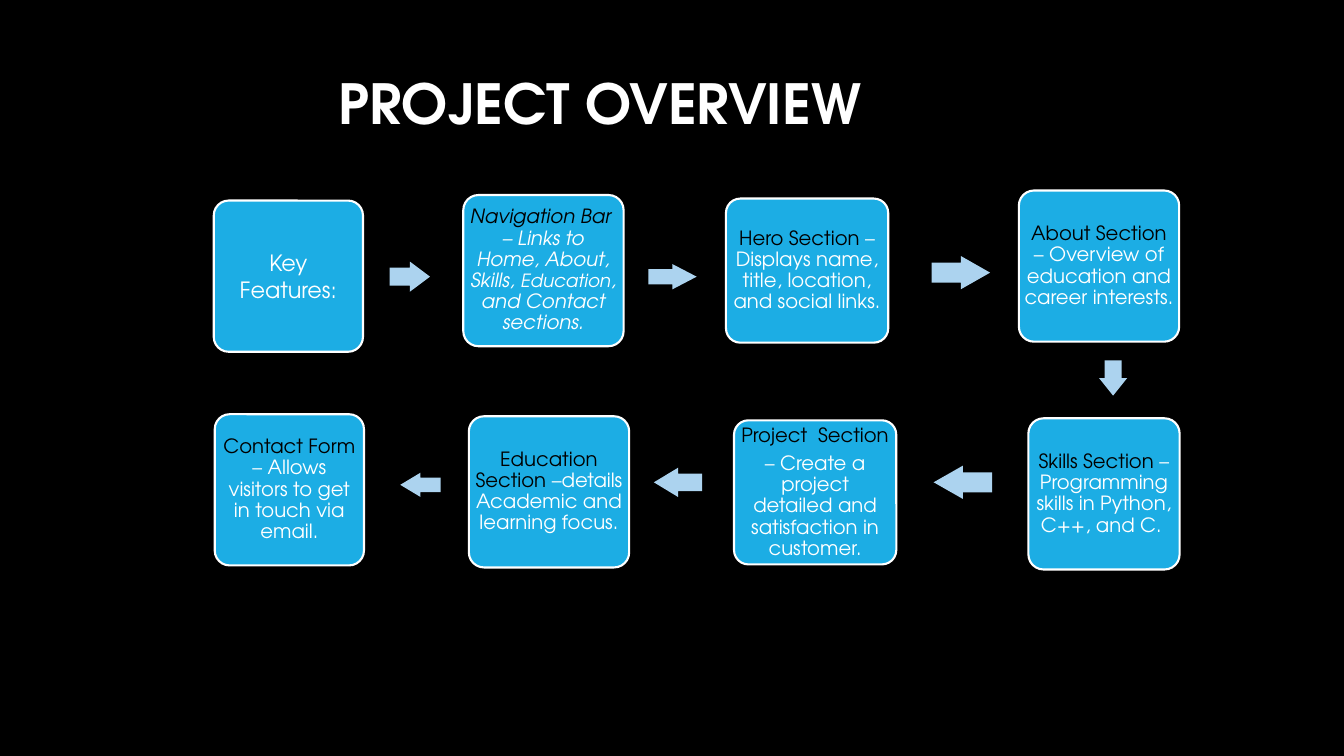
import pptx
import pptx.util
import pptx.dml.color
import pptx.enum.shapes
import pptx.enum.text

RGB = pptx.dml.color.RGBColor.from_string
SHAPE = pptx.enum.shapes.MSO_SHAPE
MIDDLE = pptx.enum.text.MSO_ANCHOR.MIDDLE
CENTER = pptx.enum.text.PP_ALIGN.CENTER

THEME = {
    "font": "TeX Gyre Adventor",
    "back": "000000", "card": "1CADE4", "arrow": "ACD3EF",
    "light": "FFFFFF", "dark": "000000",
    "title": 39.5, "lead": 16, "body": 14, "small": 13,
}
COLS, ROWS = 133.3, 75  # grid of tenth-inch cells

prs = pptx.Presentation()
prs.slide_width = pptx.util.Inches(13.33)
prs.slide_height = pptx.util.Inches(7.5)
cell_w, cell_h = prs.slide_width / COLS, prs.slide_height / ROWS


def add_block(kind, cx, cy, w, h, color):
    """Add a filled shape centred at grid position cx, cy."""
    sp = s.shapes.add_shape(kind, round((cx - w / 2) * cell_w), round((cy - h / 2) * cell_h),
                            round(w * cell_w), round(h * cell_h))
    sp.shadow.inherit = False
    sp.fill.solid()
    sp.fill.fore_color.rgb = RGB(color)
    sp.line.fill.background()
    return sp


def add_run(p, text, color, size, **style):
    r = p.add_run()
    r.text = text
    r.font.color.rgb = RGB(THEME[color])
    formats = {"name": THEME["font"], "size": pptx.util.Pt(THEME[size]), **style}
    for name, value in formats.items():
        setattr(r.font, name, value)


s = prs.slides.add_slide(prs.slide_layouts[5])
s.background.fill.solid()
s.background.fill.fore_color.rgb = RGB(THEME["back"])

# Title
title = s.shapes.title
title.left, title.width = round(4.6 * cell_w), round(105.8 * cell_w)
title.top, title.height = round(6.7 * cell_h), round(6.8 * cell_h)
frame = {"margin_left": round(4 * cell_w), "margin_top": round(0.2 * cell_h),
         "margin_right": 0, "margin_bottom": 0, "vertical_anchor": MIDDLE,
         "word_wrap": True, "auto_size": pptx.enum.text.MSO_AUTO_SIZE.NONE}
for name, value in frame.items():
    setattr(title.text_frame, name, value)
p = title.text_frame.paragraphs[0]
p.alignment = CENTER
p.space_before = pptx.util.Pt(1.3)
add_run(p, "PROJECT OVERVIEW", "light", "title", bold=True)

# Cards: centre x, centre y, width, height, paragraphs of (text, colour, size)
cards = [
    (28.6, 27.4, 14.8, 15, [[("Key Features:", "light", "lead")]]),
    (53.9, 26.85, 15.9, 15, [[("Navigation Bar  ", "dark", "body"),
                              ("– Links to Home, About, Skills, ", "light", "body"),
                              ("Education", "light", "small"),
                              (", and Contact sections.", "light", "body")]]),
    (80.05, 26.85, 16.1, 14.3, [[
        ("Hero Section ", "dark", "body"),
        ("– Displays name, title, location, and social links.", "light", "body")]]),
    (109, 26.4, 15.9, 15, [[
        ("About Section ", "dark", "body"),
        ("– Overview of education and career interests. ", "light", "body")]]),
    (109.5, 49, 15, 15, [[
        ("Skills Section ", "dark", "body"),
        ("– Programming skills in Python, C++, and C. ", "light", "body")]]),
    (80.85, 48.85, 16.1, 14.3, [
        [("Project  Section", "dark", "body")],
        [("– Create a project detailed and satisfaction in customer.", "light", "body")]]),
    (54.45, 48.8, 15.9, 15, [[
        ("Education Section ", "dark", "body"),
        ("–details Academic and learning focus.", "light", "body")]]),
    (28.7, 48.6, 14.8, 15, [[
        ("Contact Form ", "dark", "body"),
        ("– Allows visitors to get in touch via email.", "light", "body")]]),
]
for cx, cy, w, h, paragraphs in cards:
    sp = add_block(SHAPE.ROUNDED_RECTANGLE, cx, cy, w, h, THEME["card"])
    sp.adjustments[0] = 0.1
    sp.line.color.rgb = RGB(THEME["light"])
    sp.line.width = pptx.util.Pt(1.5)
    tf = sp.text_frame
    tf.word_wrap = True
    tf.vertical_anchor = MIDDLE
    for side in ("left", "top", "right", "bottom"):
        setattr(tf, f"margin_{side}", round(0.1 * cell_w))
    for i, runs in enumerate(paragraphs):
        p = tf.add_paragraph() if i else tf.paragraphs[0]
        lead = runs[0][2] == "lead"
        formats = {"alignment": CENTER, "line_spacing": 1.0 if lead else 0.9,
                   "space_after": pptx.util.Pt(5)}
        for name, value in formats.items():
            setattr(p, name, value)
        for text, color, size in runs:
            add_run(p, text, color, size, italic=text.startswith("Navigation") or len(runs) > 2)

# Arrows: direction, centre x, centre y, width, height
arrows = [
    (SHAPE.RIGHT_ARROW, 40.65, 27.45, 4, 3),
    (SHAPE.RIGHT_ARROW, 66.7, 27.45, 4.8, 2.5),
    (SHAPE.RIGHT_ARROW, 95.3, 27.05, 5.8, 3.3),
    (SHAPE.DOWN_ARROW, 110.4, 37.5, 2.8, 3.5),
    (SHAPE.LEFT_ARROW, 95.5, 47.85, 5.8, 3.3),
    (SHAPE.LEFT_ARROW, 67.25, 47.85, 4.8, 2.9),
    (SHAPE.LEFT_ARROW, 41.7, 48.1, 4, 2.4),
]
for kind, cx, cy, w, h in arrows:
    sp = add_block(kind, cx, cy, w, h, THEME["arrow"])
    sp.adjustments[0] = 0.6
    sp.adjustments[1] = 0.5 * max(w, h) / min(w, h)

prs.save("out.pptx")
